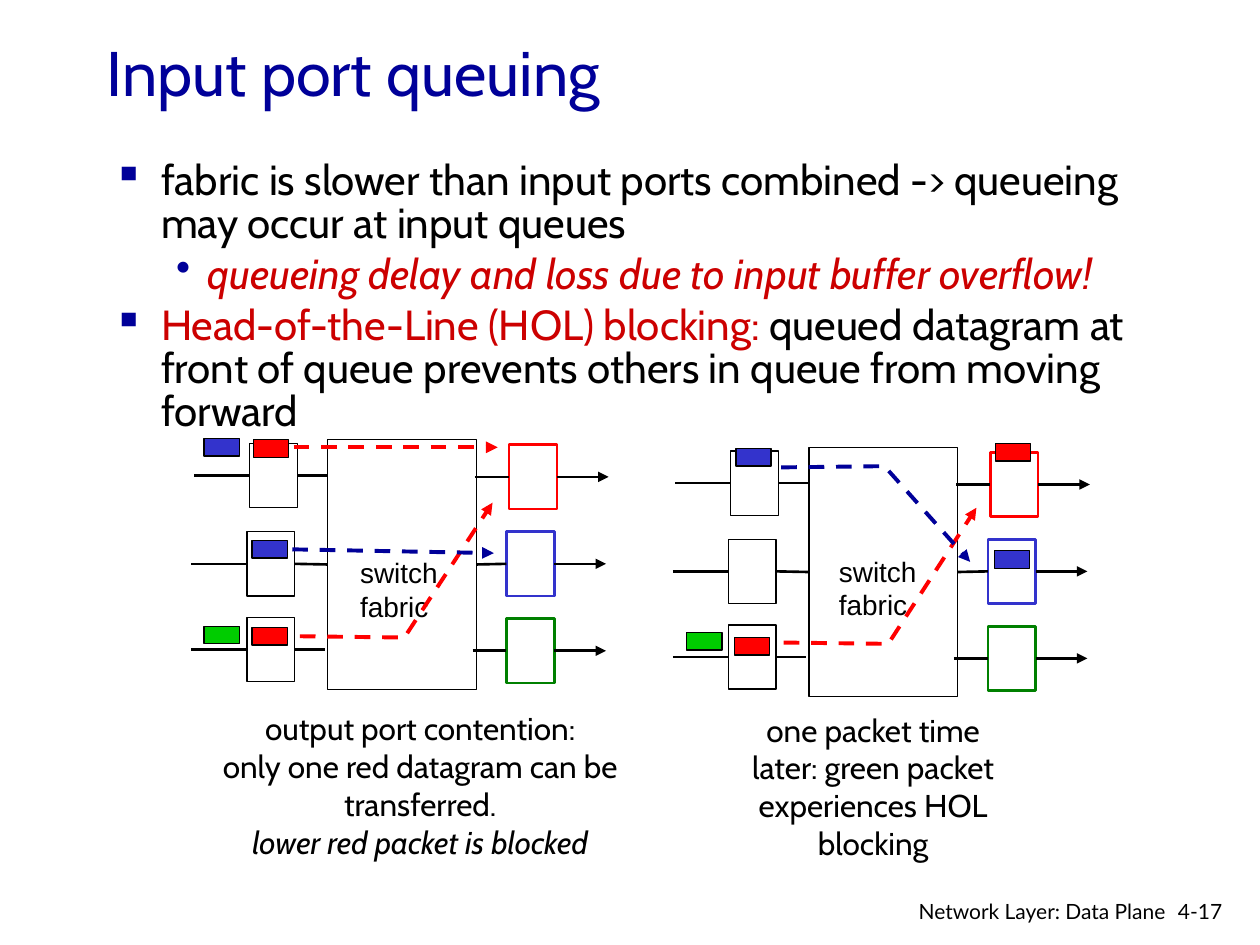
from dataclasses import dataclass
from typing import NamedTuple, Optional

from lxml import etree
from pptx import Presentation
from pptx.dml.color import RGBColor
from pptx.enum.dml import MSO_LINE
from pptx.enum.shapes import MSO_CONNECTOR, MSO_SHAPE
from pptx.enum.text import MSO_ANCHOR, MSO_AUTO_SIZE, PP_ALIGN
from pptx.oxml.ns import qn
from pptx.util import Inches, Pt

RECTANGLE = MSO_SHAPE.RECTANGLE
STRAIGHT = MSO_CONNECTOR.STRAIGHT
DASH = MSO_LINE.DASH
MIDDLE, TOP = MSO_ANCHOR.MIDDLE, MSO_ANCHOR.TOP
LEFT, CENTER, RIGHT = PP_ALIGN.LEFT, PP_ALIGN.CENTER, PP_ALIGN.RIGHT
FIT_SHAPE = MSO_AUTO_SIZE.SHAPE_TO_FIT_TEXT
LEFT_SIDE, RIGHT_SIDE = 1, 3


@dataclass(frozen=True)
class Theme:
    black: str = "000000"
    white: str = "FFFFFF"
    navy: str = "000099"
    emphasis: str = "CC0000"
    red: str = "FF0000"
    blue: str = "3333CC"
    green: str = "00CC00"
    dark_green: str = "008000"
    heading_font: str = "Cabin"
    label_font: str = "Arial"
    footer_font: str = "Lato"
    title_size: float = 36
    body_size: float = 24
    caption_size: float = 18
    label_size: float = 16
    footer_size: float = 12
    thin: float = 0.75
    wire: float = 1.5
    flow: float = 2.25


THEME = Theme()


class Span(NamedTuple):
    text: str
    color: str = THEME.black
    italic: bool = False
    new_line: bool = False


class Box(NamedTuple):
    left: float
    top: float
    width: float
    height: float


class Bullet(NamedTuple):
    symbol: str
    level: int
    margin: float
    hanging: float


class Packet(NamedTuple):
    left: float
    top: float
    color: str


class Flow(NamedTuple):
    color: str
    points: list


class PortRow(NamedTuple):
    shift: float
    input_top: float
    output_top: float
    output_color: str


@dataclass(frozen=True)
class SwitchScene:
    dx: float
    dy: float
    label: Box
    caption_box: Box
    caption: list
    packets: list
    flows: list


ROWS = [
    PortRow(0, 3.52, 3.53, THEME.red),
    PortRow(-0.02, 4.22, 4.22, THEME.blue),
    PortRow(-0.02, 4.9, 4.91, THEME.dark_green),
]
MIDDLE_ROW = ROWS[1]
PORT_WIDTH, PORT_HEIGHT = 0.38, 0.51
SQUARE = Bullet("▪", 0, 0.38, 0.38)
DOT = Bullet("•", 1, 0.75, 0.25)

BODY = [
    (SQUARE, [Span("fabric is slower than input ports combined -> queueing may occur at input queues")]),
    (DOT, [Span("queueing delay and loss due to input buffer overflow!", THEME.emphasis, True)]),
    (SQUARE, [Span("Head-of-the-Line (HOL) blocking:", THEME.emphasis),
              Span(" queued datagram at front of queue prevents others in queue from moving forward")]),
]
SCENES = [
    SwitchScene(
        0, 0, Box(2.76, 4.36, 0.82, 0.64), Box(1.48, 5.58, 3.71, 1.3),
        [[Span("output port contention:")],
         [Span("only one red datagram can be transferred."),
          Span("lower red packet is blocked", italic=True, new_line=True)]],
        [Packet(2.01, 3.49, THEME.red), Packet(2, 4.29, THEME.blue), Packet(2, 4.98, THEME.red),
         Packet(1.62, 3.48, THEME.blue), Packet(1.62, 4.97, THEME.green)],
        [Flow(THEME.red, [(2.33, 3.55), (3.95, 3.55)]),
         Flow(THEME.red, [(2.38, 5.05), (3.21, 5.06), (3.91, 3.99)]),
         Flow(THEME.navy, [(2.32, 4.36), (3.92, 4.39)])],
    ),
    SwitchScene(
        3.82, 0.06, Box(6.56, 4.35, 0.82, 0.64), Box(5.71, 5.59, 2.44, 1.3),
        [[Span("one packet time later: green packet experiences HOL blocking")]],
        [Packet(7.9, 3.52, THEME.red), Packet(5.84, 3.56, THEME.blue), Packet(5.83, 5.06, THEME.red),
         Packet(5.45, 5.02, THEME.green), Packet(7.89, 4.37, THEME.blue)],
        [Flow(THEME.red, [(6.22, 5.1), (7.05, 5.11), (7.75, 4.03)]),
         Flow(THEME.navy, [(6.2, 3.71), (7.02, 3.7), (7.7, 4.46)])],
    ),
]


def rgb(color: str) -> RGBColor:
    return RGBColor.from_string(color)


def add_bullet(paragraph, bullet: Bullet) -> None:
    paragraph.level = bullet.level
    paragraph.line_spacing = 0.85
    paragraph.space_before = Pt(0.2 * THEME.body_size)
    properties = paragraph._p.get_or_add_pPr()
    properties.set("marL", str(Inches(bullet.margin)))
    properties.set("indent", str(-Inches(bullet.hanging)))
    color = etree.SubElement(properties, qn("a:buClr"))
    etree.SubElement(color, qn("a:srgbClr"), val=THEME.navy)
    etree.SubElement(properties, qn("a:buChar"), char=bullet.symbol)


def add_text(slide, box: Box, paragraphs: list, font: str, size: float, align=LEFT,
             anchor=TOP, wrap: bool = True, fit: bool = False, bullets: tuple = ()) -> None:
    frame = slide.shapes.add_textbox(*map(Inches, box)).text_frame
    frame.word_wrap = wrap
    frame.vertical_anchor = anchor
    if fit:
        frame.auto_size = FIT_SHAPE
    for index, spans in enumerate(paragraphs):
        paragraph = frame.add_paragraph() if index else frame.paragraphs[0]
        paragraph.alignment = align
        if bullets:
            add_bullet(paragraph, bullets[index])
        for span in spans:
            if span.new_line:
                paragraph.add_line_break()
            run = paragraph.add_run()
            run.text = span.text
            run.font.name, run.font.size = font, Pt(size)
            run.font.italic = span.italic
            run.font.color.rgb = rgb(span.color)


def add_rectangle(slide, box: Box, fill: str, outline: str = THEME.black, width: float = THEME.thin):
    shape = slide.shapes.add_shape(RECTANGLE, *map(Inches, box))
    shape.shadow.inherit = False
    shape.fill.solid()
    shape.fill.fore_color.rgb = rgb(fill)
    shape.line.color.rgb = rgb(outline)
    shape.line.width = Pt(width)
    return shape


def style_line(shape, color: str, width: float, arrow: bool, dashed: bool = False) -> None:
    shape.line.color.rgb = rgb(color)
    shape.line.width = Pt(width)
    if dashed:
        shape.line.dash_style = DASH
    if arrow:
        etree.SubElement(shape.line._get_or_add_ln(), qn("a:tailEnd"), type="triangle")


def add_connector(slide, start: tuple, end: tuple):
    connector = slide.shapes.add_connector(STRAIGHT, *map(Inches, start + end))
    etree.SubElement(connector._element.spPr, qn("a:effectLst"))
    return connector


def add_wire(slide, x1: float, x2: float, y: float, source: Optional[object] = None,
             target: Optional[object] = None, arrow: bool = False) -> None:
    """Draw a level wire, joined to the right of source and the left of target."""
    wire = add_connector(slide, (x1, y), (x2, y))
    if source is not None:
        wire.begin_connect(source, RIGHT_SIDE)
    if target is not None:
        wire.end_connect(target, LEFT_SIDE)
    style_line(wire, THEME.black, THEME.wire, arrow)


def add_flow(slide, flow: Flow) -> None:
    if len(flow.points) == 2:
        shape = add_connector(slide, *flow.points)
    else:
        start, *rest = [(Inches(x), Inches(y)) for x, y in flow.points]
        builder = slide.shapes.build_freeform(*start)
        builder.add_line_segments(rest, close=False)
        shape = builder.convert_to_shape()
        shape.shadow.inherit = False
        shape.fill.background()
    style_line(shape, flow.color, THEME.flow, arrow=True, dashed=True)


def add_port_row(slide, scene: SwitchScene, row: PortRow, fabric) -> None:
    x = scene.dx + row.shift
    input_top, output_top = scene.dy + row.input_top, scene.dy + row.output_top
    input_y, output_y = input_top + PORT_HEIGHT / 2, output_top + PORT_HEIGHT / 2
    input_port = add_rectangle(slide, Box(x + 1.98, input_top, PORT_WIDTH, PORT_HEIGHT), THEME.white)
    output_port = add_rectangle(slide, Box(x + 4.04, output_top, PORT_WIDTH, PORT_HEIGHT),
                                THEME.white, row.output_color, THEME.wire)
    joined_fabric = fabric if row is MIDDLE_ROW else None
    add_wire(slide, x + 1.54, x + 1.98, input_y, target=input_port)
    add_wire(slide, x + 2.36, x + 2.6, input_y, input_port, joined_fabric)
    add_wire(slide, x + 3.77, x + 4.04, output_y, joined_fabric, output_port)
    add_wire(slide, x + 4.42, x + 4.83, output_y, output_port, arrow=True)


def add_scene(slide, scene: SwitchScene) -> None:
    fabric = add_rectangle(slide, Box(scene.dx + 2.6, scene.dy + 3.49, 1.18, 1.98), THEME.white)
    for row in ROWS:
        add_port_row(slide, scene, row, fabric)
    add_text(slide, scene.label, [[Span("switch")], [Span("fabric")]], THEME.label_font,
             THEME.label_size, wrap=False, fit=True)
    for packet in scene.packets:
        add_rectangle(slide, Box(packet.left, packet.top, 0.28, 0.14), packet.color)
    for flow in scene.flows:
        add_flow(slide, flow)
    add_text(slide, scene.caption_box, scene.caption, THEME.heading_font, THEME.caption_size,
             CENTER, fit=True)


def main() -> None:
    presentation = Presentation()
    presentation.slide_width, presentation.slide_height = Inches(10), Inches(7.5)
    slide = presentation.slides.add_slide(presentation.slide_layouts[6])
    add_text(slide, Box(0.75, 0.32, 8.5, 0.5), [[Span("Input port queuing", THEME.navy)]],
             THEME.heading_font, THEME.title_size, anchor=MIDDLE)
    bullets, paragraphs = zip(*BODY)
    add_text(slide, Box(0.8, 1.23, 8.86, 2.9), paragraphs, THEME.heading_font, THEME.body_size,
             bullets=bullets)
    for scene in SCENES:
        add_scene(slide, scene)
    add_text(slide, Box(9.25, 7.08, 0.61, 0.3), [[Span("4-17")]], THEME.footer_font, THEME.footer_size)
    add_text(slide, Box(6.97, 7.08, 2.38, 0.26), [[Span("Network Layer: Data Plane")]],
             THEME.footer_font, THEME.footer_size, RIGHT)
    presentation.save("out.pptx")


if __name__ == "__main__":
    main()
